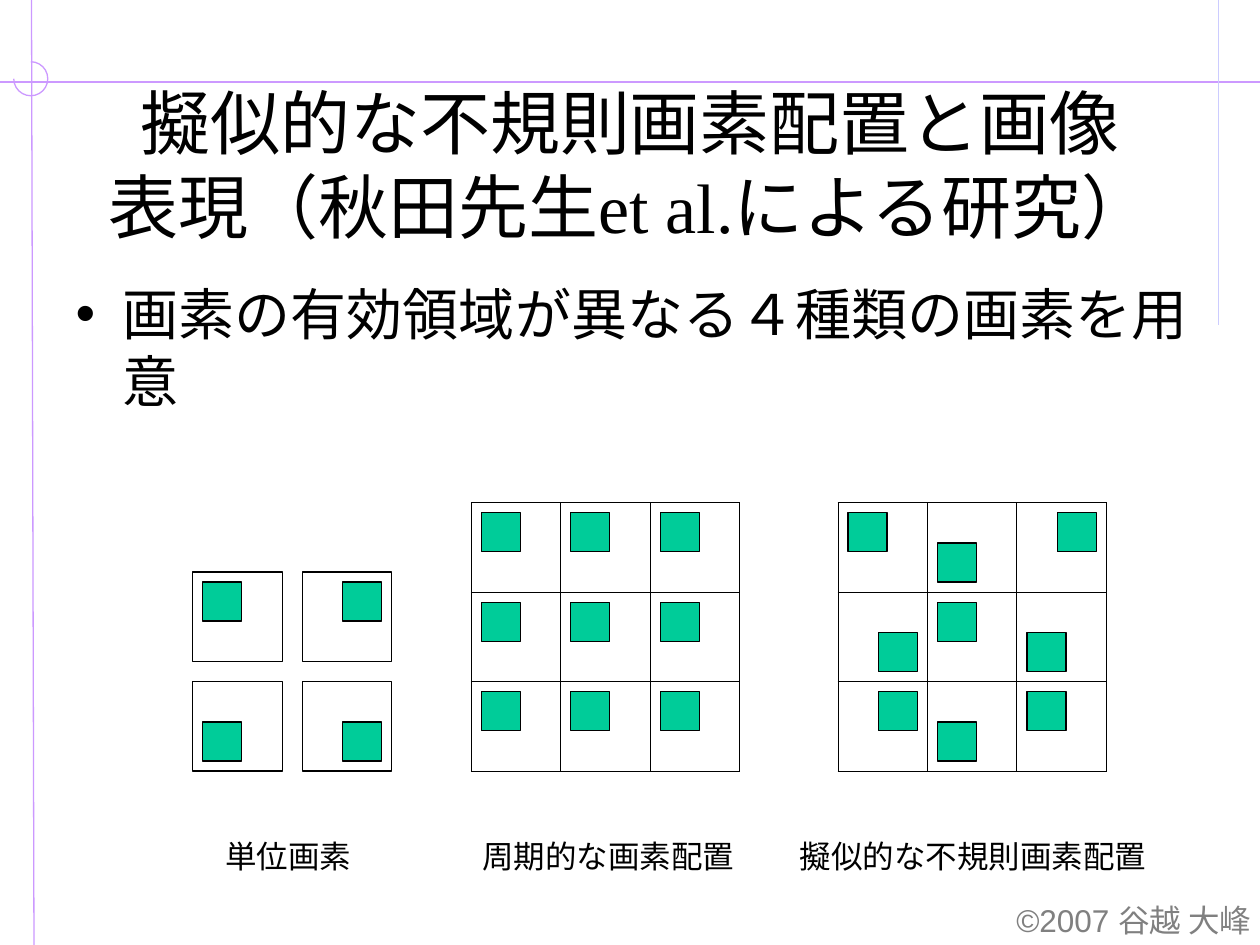
from dataclasses import dataclass

from lxml.etree import SubElement
from pptx import Presentation
from pptx.dml.color import RGBColor
from pptx.enum.lang import MSO_LANGUAGE_ID as Language
from pptx.enum.shapes import MSO_CONNECTOR as Connector, MSO_SHAPE as Shape
from pptx.enum.text import MSO_ANCHOR as Anchor, MSO_AUTO_SIZE as AutoSize, PP_ALIGN as Align
from pptx.oxml.ns import qn
from pptx.util import Inches, Pt

BLACK = RGBColor(0x00, 0x00, 0x00)
GRAY = RGBColor(0x80, 0x80, 0x80)
GREEN = RGBColor(0x00, 0xCC, 0x99)
VIOLET = RGBColor(0xCC, 0x99, 0xFF)
LAVENDER = RGBColor(0xCC, 0xCC, 0xFF)

WIDTH, HEIGHT = 10, 7.5
PIXEL = 0.71    # side of one pixel cell
CORE = 0.31     # side of its effective area
MARGIN = 0.08   # gap from the effective area to the cell edge
PITCH = 0.87    # step between the separate unit pixels

# Corner of the cell that holds the effective area: top/bottom, left/right
UNITS = [["TL", "TR"], ["BL", "BR"]]
PERIODIC = [["TL"] * 3] * 3
IRREGULAR = [["TL", "BL", "TR"], ["BR", "TL", "BL"], ["TR", "BL", "TL"]]


@dataclass
class Box:
    """An area of the slide in inches."""
    left: float
    top: float
    width: float
    height: float

    def emu(self):
        return [Inches(v) for v in (self.left, self.top, self.width, self.height)]

    def square(self, x, y, side):
        """A square placed relative to this box."""
        return Box(self.left + x, self.top + y, side, side)


def style_text(frame, text, size, font, color, align):
    frame.text = text
    frame.auto_size = AutoSize.NONE
    para = frame.paragraphs[0]
    para.alignment = align
    for span in para.runs:
        span.font.size = Pt(size)
        span.font.name = font
        span.font.color.rgb = color
        span.font.language_id = Language.JAPANESE
    return para


def add_line(page, start, end, color):
    line = page.shapes.add_connector(
        Connector.STRAIGHT, *(Inches(v) for v in (*start, *end)))
    line.line.color.rgb = color
    line.line.width = Pt(0.75)
    SubElement(line.element.spPr, qn("a:effectLst"))


def add_backdrop(page, box):
    """Crossing rules with a three-quarter ring where they meet."""
    right, bottom = box.left + box.width, box.top + box.height
    add_line(page, (0.25, box.top), (0.27, bottom), VIOLET)
    add_line(page, (right, 0.65), (box.left, 0.65), VIOLET)
    ring = page.shapes.add_shape(Shape.ARC, *Box(0.11, 0.49, 0.27, 0.27).emu())
    ring.adjustments[0], ring.adjustments[1] = 162, 108
    ring.shadow.inherit = False
    ring.fill.background()
    ring.line.color.rgb = VIOLET
    ring.line.width = Pt(0.75)
    add_line(page, (9.67, box.top), (9.67, 2.58), LAVENDER)


def fill_placeholder(holder, box, text, size, align):
    """Places the text and brings it in front of the backdrop."""
    holder.left, holder.top, holder.width, holder.height = box.emu()
    holder.element.getparent().append(holder.element)
    return style_text(holder.text_frame, text, size, "Times New Roman", BLACK, align)


def add_label(page, box, text, color, align):
    frame = page.shapes.add_textbox(*box.emu()).text_frame
    style_text(frame, text, 18, "Arial", color, align)
    frame.word_wrap = False


def add_square(page, box, color=None):
    square = page.shapes.add_shape(Shape.RECTANGLE, *box.emu())
    square.shadow.inherit = False
    if color is None:
        square.fill.background()
    else:
        square.fill.solid()
        square.fill.fore_color.rgb = color
    square.line.color.rgb = BLACK
    square.line.width = Pt(0.75)


def add_core(page, cell, corner):
    far = PIXEL - CORE - MARGIN
    x = MARGIN if corner[1] == "L" else far
    y = MARGIN if corner[0] == "T" else far
    add_square(page, cell.square(x, y, CORE), GREEN)


def add_units(page, box):
    for row, corners in enumerate(UNITS):
        for column, corner in enumerate(corners):
            cell = box.square(column * PITCH, row * PITCH, PIXEL)
            add_square(page, cell)
            add_core(page, cell, corner)


def rule_cell(cell):
    """Thin black borders and no fill."""
    properties = cell._tc.get_or_add_tcPr()
    for side in ("a:lnL", "a:lnR", "a:lnT", "a:lnB"):
        border = SubElement(properties, qn(side), w=str(Pt(0.45)))
        fill = SubElement(border, qn("a:solidFill"))
        SubElement(fill, qn("a:srgbClr"), val=str(BLACK))
    cell.fill.background()


def add_pixel_grid(page, box, pattern):
    """A ruled table, evenly divided, with one effective area in each cell."""
    count = len(pattern)
    table = page.shapes.add_table(count, count, *box.emu()).table
    table.first_row = table.horz_banding = False
    for row, corners in enumerate(pattern):
        for column, corner in enumerate(corners):
            rule_cell(table.cell(row, column))
            add_core(page, box.square(column * PIXEL, row * PIXEL, PIXEL), corner)


def main():
    deck = Presentation()
    deck.slide_width, deck.slide_height = Inches(WIDTH), Inches(HEIGHT)
    page = deck.slides.add_slide(deck.slide_layouts[1])
    add_backdrop(page, Box(0, 0, WIDTH, HEIGHT))

    title, body = page.shapes.title, page.placeholders[1]
    fill_placeholder(title, Box(0.75, 0.67, 8.5, 1.25),
                     "擬似的な不規則画素配置と画像表現（秋田先生et al.による研究）",
                     40, Align.CENTER)
    title.text_frame.vertical_anchor = Anchor.MIDDLE
    point = fill_placeholder(body, Box(0.5, 2.17, 9.3, 4.25),
                             "画素の有効領域が異なる４種類の画素を用意", 32, Align.LEFT)
    point.space_before = Pt(8)

    side = 3 * PIXEL
    add_units(page, Box(1.53, 4.54, PITCH + PIXEL, PITCH + PIXEL))
    add_pixel_grid(page, Box(3.74, 3.99, side, side), PERIODIC)
    add_pixel_grid(page, Box(6.65, 3.99, side, side), IRREGULAR)

    for left, width, text in ((1.69, 1.2, "単位画素"),
                              (3.73, 2.2, "周期的な画素配置"),
                              (6.25, 2.95, "擬似的な不規則画素配置")):
        add_label(page, Box(left, 6.59, width, 0.4), text, BLACK, Align.LEFT)
    add_label(page, Box(7.89, 7.1, 2.14, 0.4), "©2007 谷越 大峰", GRAY, Align.RIGHT)
    deck.save("out.pptx")


if __name__ == "__main__":
    main()
